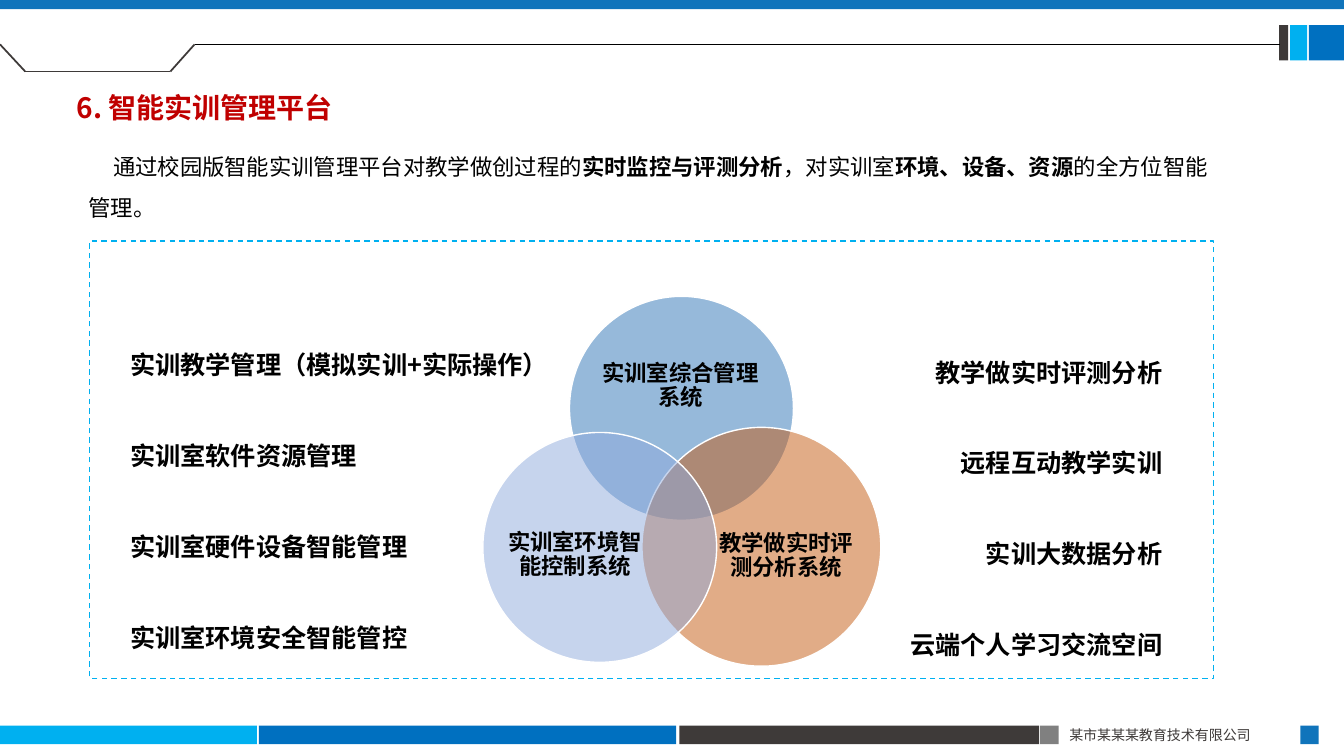
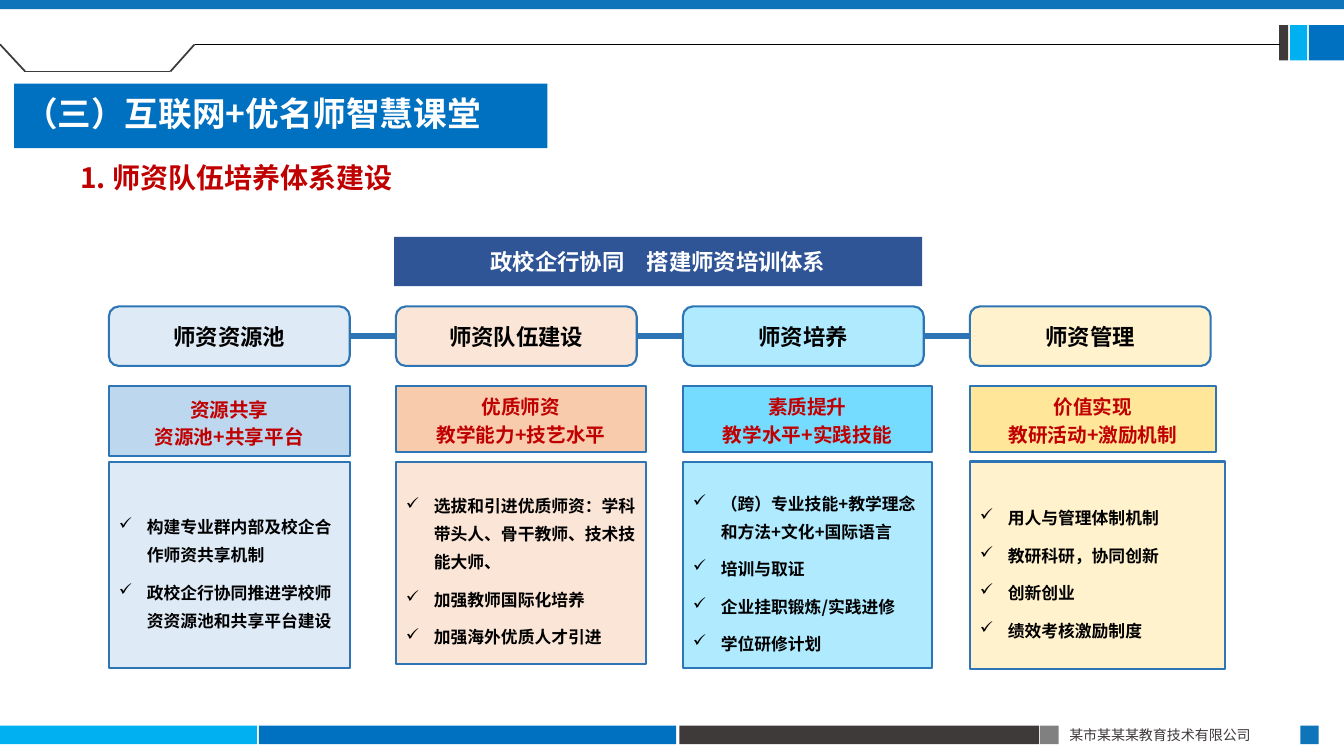
from itertools import pairwise

from lxml import etree
from pptx import Presentation
from pptx import util as u
from pptx.dml import color
from pptx.enum import dml, shapes, text
from pptx.oxml import ns

FONT = "Noto Sans CJK SC"
COLORS = {
    "black": "000000", "white": "FFFFFF", "red": "C00000",
    "sky": "00B0F0", "blue": "0070C0", "band": "1074BB",
    "charcoal": "3E3A39", "gray": "808080", "outline": "2E75B6",
    "navy": "2F5597", "rust": "C55A11", "periwinkle": "8FAADC",
    "pool": "DEEBF7", "pool_dark": "BDD7EE",
    "team": "FBE5D6", "team_dark": "F8CBAD",
    "training": "AFEAFF", "training_dark": "75DBFF",
    "management": "FFF2CC", "management_dark": "FFE699",
}
RECT = shapes.MSO_SHAPE.RECTANGLE
ROUNDED = shapes.MSO_SHAPE.ROUNDED_RECTANGLE
OVAL = shapes.MSO_SHAPE.OVAL
LEFT, CENTER, RIGHT = text.PP_ALIGN.LEFT, text.PP_ALIGN.CENTER, text.PP_ALIGN.RIGHT
TOP, MIDDLE = text.MSO_ANCHOR.TOP, text.MSO_ANCHOR.MIDDLE
INSETS = (7.2, 3.6, 7.2, 3.6)

COLUMNS = [
    ("pool", "师资资源池", ["资源共享", "资源池+共享平台"], (172, 50.4), (172, 147.6),
     ["构建专业群内部及校企合作师资共享机制", "政校企行协同推进学校师资资源池和共享平台建设"]),
    ("team", "师资队伍建设", ["优质师资", "教学能力+技艺水平"], (178.6, 47.5), (178.6, 144.7),
     ["选拔和引进优质师资：学科带头人、骨干教师、技术技能大师、", "加强教师国际化培养",
      "加强海外优质人才引进"]),
    ("training", "师资培养", ["素质提升", "教学水平+实践技能"], (177.8, 47.5), (177.8, 147.6),
     ["（跨）专业技能+教学理念和方法+文化+国际语言", "培训与取证", "企业挂职锻炼/实践进修",
      "学位研修计划"]),
    ("management", "师资管理", ["价值实现", "教研活动+激励机制"], (175.7, 47.5), (182.2, 148.3),
     ["用人与管理体制机制", "教研科研，协同创新", "创新创业", "绩效考核激励制度"]),
]
CIRCLES = [
    ("outline", (61.9, 0, 160, 160), "实训室综合管理系统", (82.8, 28.1, 116.6, 72)),
    ("rust", (113.7, 93.6, 170.6, 170.6), "教学做实时评测分析系统", (165.6, 138.2, 102.2, 94.3)),
    ("periwinkle", (0, 97.2, 167, 164.2), "实训室环境智能控制系统", (15.8, 139.7, 100.1, 90)),
]


def rgb(name):
    return color.RGBColor.from_string(COLORS[name])


def points(box):
    return [u.Pt(value) for value in box]


def move(shape, box):
    shape.left, shape.top, shape.width, shape.height = points(box)


def add_block(slide, box, fill=None, line=None, width=1.5, kind=RECT):
    shape = slide.shapes.add_shape(kind, *points(box))
    shape.shadow.inherit = False
    if fill:
        shape.fill.solid()
        shape.fill.fore_color.rgb = rgb(fill)
    else:
        shape.fill.background()
    if line:
        shape.line.color.rgb = rgb(line)
        shape.line.width = u.Pt(width)
    else:
        shape.line.fill.background()
    return shape


def add_line(slide, start, end, line, width):
    connector = slide.shapes.add_connector(
        shapes.MSO_CONNECTOR.STRAIGHT, *points((*start, *end)))
    connector.line.color.rgb = rgb(line)
    connector.line.width = u.Pt(width)
    etree.SubElement(connector.element.spPr, ns.qn("a:effectLst"))
    return connector


def add_bullet(paragraph, character):
    properties = paragraph._p.get_or_add_pPr()
    properties.set("marL", str(u.Pt(20)))
    properties.set("indent", str(-u.Pt(20)))
    etree.SubElement(properties, ns.qn("a:buChar")).set("char", character)


def write(shape, paragraphs, size, fill="black", bold=True, align=LEFT, anchor=MIDDLE,
          insets=INSETS, spacing=None, before=0, bullet=None, indent=0):
    frame = shape.text_frame
    frame.word_wrap = True
    frame.auto_size = text.MSO_AUTO_SIZE.NONE
    frame.vertical_anchor = anchor
    frame.margin_left, frame.margin_top, frame.margin_right, frame.margin_bottom = points(insets)
    for index, content in enumerate(paragraphs):
        paragraph = frame.add_paragraph() if index else frame.paragraphs[0]
        paragraph.alignment = align
        if spacing:
            paragraph.line_spacing = spacing
        if index and before:
            paragraph.space_before = u.Pt(before)
        if bullet:
            add_bullet(paragraph, bullet)
        if indent:
            paragraph._p.get_or_add_pPr().set("indent", str(u.Pt(indent)))
        if isinstance(content, str):
            paragraph.add_run().text = content
            paragraph.font.bold = bold
        else:
            for words, strong in content:
                run = paragraph.add_run()
                run.text = words
                run.font.bold = strong
        paragraph.font.size = u.Pt(size)
        paragraph.font.color.rgb = rgb(fill)
        paragraph.font.name = FONT
        defaults = paragraph._p.pPr.find(ns.qn("a:defRPr"))
        etree.SubElement(defaults, ns.qn("a:ea")).set("typeface", FONT)


def add_text(slide, box, paragraphs, size, **style):
    shape = slide.shapes.add_textbox(*points(box))
    write(shape, paragraphs, size, **style)
    return shape


def write_heading(shape, words):
    write(shape, [words], 20, fill="red", anchor=TOP)


def decorate_layout(layout, slide):
    for placeholder in list(layout.placeholders):
        if placeholder.placeholder_format.idx >= 10:
            layout.shapes.element.remove(placeholder.element)
    bottom, bar = 518.4, 13.2
    parts = [add_block(slide, box, fill) for box, fill in [
        ((0, bottom, 183.6, bar), "sky"),
        ((185, bottom, 298, bar), "blue"),
        ((485.3, bottom, 257, bar), "charcoal"),
        ((743, bottom, bar, bar), "gray"),
        ((928.8, bottom, bar, bar), "band"),
        ((935, 18, 25, 25.2), "blue"),
        ((921.6, 18, 12.2, 25.2), "sky"),
        ((913.7, 18, 6.5, 25.2), "charcoal"),
        ((0, 0, 960, 6.5), "band"),
    ]]
    parts.append(add_text(slide, (756.7, 515.5, 172.8, 19.4), ["某市某某某教育技术有限公司"],
                          10, fill="charcoal", bold=False, anchor=TOP))
    tab = [(0, 31.7), (18, 51.1), (121.7, 51.1), (139, 31.7)]
    parts += [add_line(slide, start, end, "charcoal", 1.25) for start, end in pairwise(tab)]
    parts.append(add_line(slide, tab[-1], (914.4, 31.7), "black", 0.5))
    for part in parts:
        layout.shapes.element.append(part.element)


def add_venn(slide, left, top):
    for fill, (x, y, width, height), label, (label_x, label_y, *label_size) in CIRCLES:
        circle = add_block(slide, (left + x, top + y, width, height), fill, "white", 1, OVAL)
        tint = circle.element.spPr.find(ns.qn("a:solidFill")).find(ns.qn("a:srgbClr"))
        etree.SubElement(tint, ns.qn("a:alpha")).set("val", "50000")
        add_text(slide, (left + label_x, top + label_y, *label_size), [label], 16,
                 align=CENTER, insets=(0, 0, 0, 0), spacing=0.9)


def add_platform_panel(slide, box):
    left, top = box[:2]
    frame = add_block(slide, box, line="sky", width=1)
    frame.line.dash_style = dml.MSO_LINE.DASH
    add_text(slide, (left + 8.6, top + 30.2, 353.5, 297),
             ["实训教学管理（模拟实训+实际操作）", "实训室软件资源管理", "实训室硬件设备智能管理",
              "实训室环境安全智能管控"],
             18, anchor=TOP, insets=(20.2, 4.3, 8.6, 4.3), spacing=3.0)
    add_text(slide, (left + 519.8, top + 35.3, 254.9, 281),
             ["教学做实时评测分析", "远程互动教学实训", "实训大数据分析", "云端个人学习交流空间"],
             18, align=RIGHT, anchor=TOP, insets=(8.6, 4.3, 8.6, 4.3), spacing=3.0)
    add_venn(slide, left + 280.8, top + 39.6)


def add_column(slide, left, top, column):
    fill, name, summary, summary_size, card_size, items = column
    head = add_block(slide, (left, top, 172, 42.5), fill, "outline", kind=ROUNDED)
    write(head, [name], 16, align=CENTER)
    focus = add_block(slide, (left, top + 56.6, *summary_size), fill + "_dark", "outline")
    write(focus, summary, 14, fill="red", align=CENTER, spacing=u.Pt(19.4))
    card = add_block(slide, (left, top + 110.8, *card_size), fill, "outline")
    write(card, items, 12, insets=(7.2, 10.4, 7.2, 3.6), spacing=u.Pt(20), before=6.8, bullet="✓")
    return head


def add_training_system(slide, left, top):
    banner = add_block(slide, (left + 203.7, top, 377.3, 35.3), "navy")
    write(banner, ["政校企行协同　搭建师资培训体系"], 16, fill="white", align=CENTER)
    heads = [add_column(slide, left + 205 * index, top + 49.7, column)
             for index, column in enumerate(COLUMNS)]
    for before, after in pairwise(heads):
        link = add_line(slide, (0, 0), (1, 1), "outline", 4.5)
        link.begin_connect(before, 3)
        link.end_connect(after, 1)


def build_platform_slide(slide):
    title = slide.shapes.title
    move(title, (47.5, 61.2, 340.6, 31.7))
    write_heading(title, "6. 智能实训管理平台")
    introduction = [
        ("通过校园版智能实训管理平台对教学做创过程的", False),
        ("实时监控与评测分析", True),
        ("，对实训室", False),
        ("环境、设备、资源", True),
        ("的全方位智能管理。", False),
    ]
    add_text(slide, (56.2, 96.5, 820, 62), [introduction], 16, anchor=TOP, spacing=1.5, indent=17.5)
    add_platform_panel(slide, (64.1, 172.1, 802.8, 312.5))


def build_teachers_slide(slide):
    title = slide.shapes.title
    move(title, (10, 59.8, 381, 46))
    title.fill.solid()
    title.fill.fore_color.rgb = rgb("blue")
    write(title, ["（三）互联网+优名师智慧课堂"], 24, fill="white", spacing=0.9)
    heading = slide.shapes.add_textbox(*points((50.4, 110.9, 340.6, 31.7)))
    write_heading(heading, "1. 师资队伍培养体系建设")
    add_training_system(slide, 77.8, 169.2)


def main():
    presentation = Presentation()
    presentation.slide_width, presentation.slide_height = points((960, 540))
    layout = presentation.slide_layouts[5]
    platform = presentation.slides.add_slide(layout)
    decorate_layout(layout, platform)
    build_platform_slide(platform)
    build_teachers_slide(presentation.slides.add_slide(layout))
    presentation.save("out.pptx")


if __name__ == "__main__":
    main()
